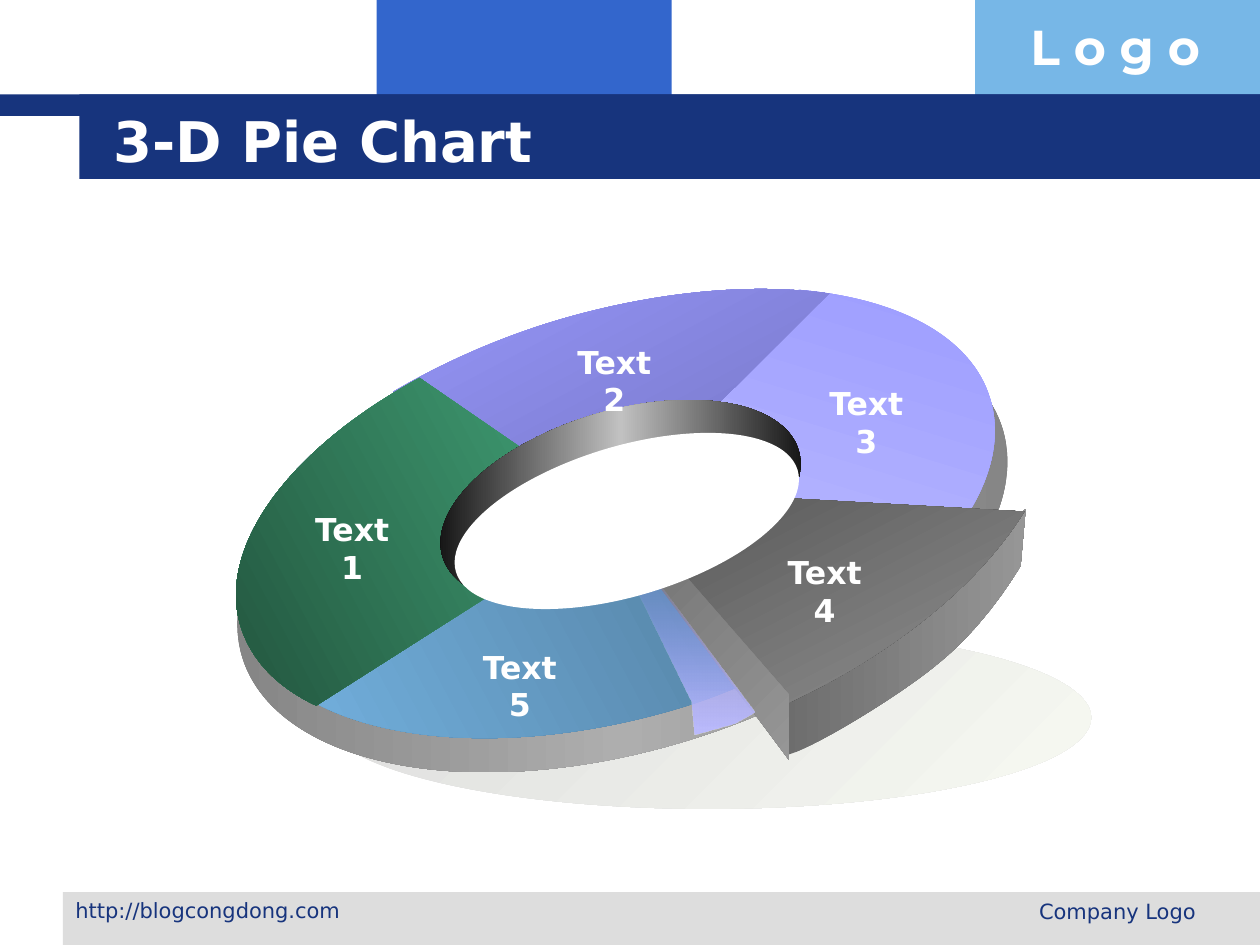
"""Build the 3-D pie chart slide with its banner, footer and ring of five labelled slices."""
from math import cos, radians, sin

from lxml.etree import SubElement
from pptx import Presentation
from pptx.dml.color import RGBColor
from pptx.enum.shapes import MSO_SHAPE
from pptx.enum.text import MSO_ANCHOR, PP_ALIGN
from pptx.oxml.ns import qn
from pptx.util import Inches, Pt

COLORS = {
    "white": "FFFFFF", "navy": "17347D", "blue": "3366CC", "sky": "77B7E7",
    "silver": "DDDDDD", "cream": "F7F9F2", "rim": "808080", "rim light": "AEAEAE",
    "teal": "2791BB", "black": "000000", "lilac": "9999FF", "pale lilac": "BEBEFF",
    "steel": "5380A1", "violet": "6F6FB9", "green": "45AB7D", "forest": "204F3A",
    "charcoal": "454545", "ash": "969696", "slate": "6D6D6D", "stone": "767676",
    "hole light": "C1C1C1", "glaze": "9999FF", "glaze light": "BBBBFF",
}
OPACITY = {"glaze": 19}
TILT = 343.4


def paint(shape, names, angle=0):
    """Fill with one colour, or with evenly spaced gradient stops."""
    shape.shadow.inherit = False
    shape.line.fill.background()
    if len(names) == 1:
        shape.fill.solid()
        shape.fill.fore_color.rgb = RGBColor.from_string(COLORS[names[0]])
        return
    shape.fill.gradient()
    gradient = shape._element.spPr.find(qn("a:gradFill"))
    gradient.set("rotWithShape", "0")
    stops = gradient.find(qn("a:gsLst"))
    for stop in list(stops):
        stops.remove(stop)
    for index, name in enumerate(names):
        position = index * 100000 // (len(names) - 1)
        stop = SubElement(stops, qn("a:gs"), pos=str(position))
        color = SubElement(stop, qn("a:srgbClr"), val=COLORS[name])
        if name in OPACITY:
            SubElement(color, qn("a:alpha"), val=str(OPACITY[name] * 1000))
    gradient.find(qn("a:lin")).set("ang", str(angle * 60000))


def write(shape, text, size, color, font="DejaVu Sans", bold=False, align=PP_ALIGN.LEFT):
    """Write one paragraph in a single format."""
    shape.text_frame.word_wrap = True
    para = shape.text_frame.paragraphs[0]
    para.text = text
    para.alignment = align
    para.font.name = font
    para.font.size = Pt(size)
    para.font.bold = bold
    para.font.color.rgb = RGBColor.from_string(COLORS[color])


deck = Presentation()
deck.slide_width, deck.slide_height = Inches(10), Inches(7.5)
page = deck.slides.add_slide(deck.slide_layouts[5])
shapes = page.shapes

bars = [
    ((2.99, 0, 2.34, 0.92), "blue"),
    ((7.74, 0, 2.26, 0.92), "sky"),
    ((0.5, 7.08, 9.5, 0.42), "silver"),
    ((0, 0.75, 10, 0.17), "navy"),
    ((0.63, 0.75, 9.37, 0.67), "navy"),
]
for bounds, color in bars:
    paint(shapes.add_shape(MSO_SHAPE.RECTANGLE, *map(Inches, bounds)), [color])

back_ellipses = [
    ((2.58, 4.97, 6.08, 1.45), 0, ["silver", "cream"], 45),
    ((1.79, 2.66, 6.3, 3.3), TILT, ["rim", "rim light", "rim"], 0),
    ((1.85, 2.48, 6.08, 3.2), TILT, ["teal", "black"], 62),
]
hole_wall = [((3.45, 3.26, 2.95, 1.47), TILT, ["black", "hole light", "black"], 0)]
hole = [((3.56, 3.54, 2.83, 1.19), TILT, ["white"], 0)]

slices = [
    ([(6.34, 2.3), (7.16, 2.37, 7.72, 2.69, 7.86, 3.17),
      (7.95, 3.47, 7.87, 3.82, 7.62, 4.17), (4.88, 4.06)],
     TILT, ["lilac", "pale lilac"], 107),
    ([(2.02, 5.13), (2.42, 5.86, 3.86, 6.07, 5.36, 5.63),
      (5.53, 5.58, 5.7, 5.52, 5.86, 5.45), (4.9, 4.08)],
     TILT, ["steel", "sky"], 152),
    ([(3.12, 3.11), (3.51, 2.88, 3.96, 2.68, 4.43, 2.54),
      (5.18, 2.32, 5.95, 2.24, 6.58, 2.33), (4.87, 4.03)],
     TILT, ["lilac", "violet"], 62),
    ([(3.33, 3), (2.28, 3.57, 1.72, 4.35, 1.91, 4.97),
      (1.99, 5.23, 2.19, 5.45, 2.51, 5.6), (4.9, 4.08)],
     TILT, ["green", "forest"], 152),
    ([(6.24, 5.59), (8.14, 4.04), (8.1, 4.49), (7.98, 4.69, 7.75, 5.02, 7.44, 5.27),
      (7.14, 5.52, 6.45, 5.94, 6.25, 5.99), (6.22, 5.85, 6.24, 5.59, 6.24, 5.59)],
     0, ["slate", "ash"], 0),
    ([(8.13, 4.06), (7.75, 4.67, 7.03, 5.24, 6.14, 5.63), (4.94, 3.88)],
     342.3, ["charcoal", "ash"], 63),
    ([(6.26, 5.51), (6.26, 6.03), (5.14, 4.53), (5.31, 4.42)],
     0, ["stone", "ash"], 45),
]
glaze = [
    ([(5.05, 4.68), (5.49, 5.57), (5.51, 5.83), (5.83, 5.74), (5.99, 5.65), (5.24, 4.65)],
     0, ["glaze", "glaze light"], 90),
]

for ellipses, outlines in ((back_ellipses, slices), (hole_wall, glaze), (hole, [])):
    for bounds, rotation, names, angle in ellipses:
        ellipse = shapes.add_shape(MSO_SHAPE.OVAL, *map(Inches, bounds))
        ellipse.rotation = rotation
        paint(ellipse, names, angle)
    for segments, rotation, names, angle in outlines:
        cosine, sine = cos(radians(rotation)), sin(radians(rotation))
        points = [
            (Inches(x * cosine + y * sine), Inches(y * cosine - x * sine))
            for segment in segments
            for x, y in zip(segment[::2], segment[1::2])
        ]
        builder = shapes.build_freeform(*points[0])
        builder.add_line_segments(points[1:], close=True)
        piece = builder.convert_to_shape()
        lines = iter(list(piece._element.iter(qn("a:lnTo"))))
        for segment in segments[1:]:
            line = next(lines)
            if len(segment) == 6:
                curve = SubElement(line.getparent(), qn("a:cubicBezTo"))
                line.addprevious(curve)
                for control in (line, next(lines), next(lines)):
                    curve.append(control[0])
                    control.getparent().remove(control)
        center_x = piece.left + piece.width / 2
        center_y = piece.top + piece.height / 2
        piece.left = int(center_x * cosine - center_y * sine - piece.width / 2)
        piece.top = int(center_x * sine + center_y * cosine - piece.height / 2)
        piece.rotation = rotation
        paint(piece, names, angle)

label_corners = [(2.35, 4), (4.43, 2.67), (6.43, 3), (6.1, 4.34), (3.68, 5.09)]
for number, (left, top) in enumerate(label_corners, 1):
    label = shapes.add_textbox(Inches(left), Inches(top), Inches(0.89), Inches(0.4))
    write(label, f"Text{number}", 18, "white", bold=True, align=PP_ALIGN.CENTER)

logo = shapes.add_textbox(Inches(8.08), Inches(0.08), Inches(1.92), Inches(0.57))
write(logo, "L o g o", 28, "white", font="Montserrat", bold=True)
address = shapes.add_textbox(Inches(0.5), Inches(7.07), Inches(2.45), Inches(0.35))
write(address, "http://blogcongdong.com", 12, "navy")
company = shapes.add_textbox(Inches(6.42), Inches(7.08), Inches(3.17), Inches(0.35))
write(company, "Company Logo", 12, "navy", align=PP_ALIGN.RIGHT)

title = shapes.title
title.left, title.top, title.width, title.height = map(Inches, (0.8, 0.8, 8.53, 0.62))
title.text_frame.vertical_anchor = MSO_ANCHOR.MIDDLE
write(title, "3-D Pie Chart", 32, "white", bold=True)
shapes._spTree.append(title._element)

deck.save("out.pptx")
